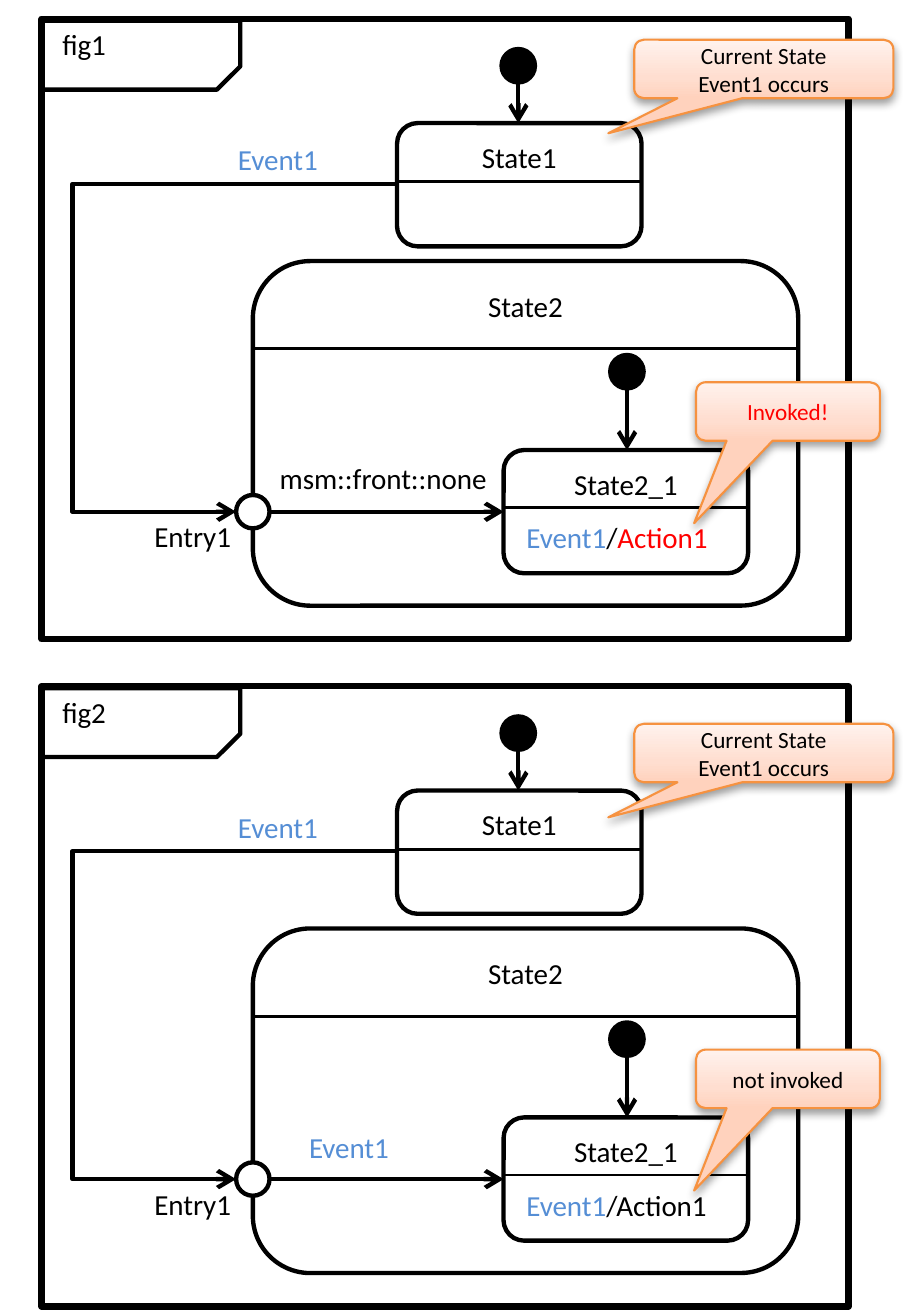
"""Draw two state machine figures that differ in how Entry1 is left."""
import copy
import dataclasses

import lxml.etree
import pptx
import pptx.dml.color
import pptx.enum.shapes
import pptx.enum.text
import pptx.oxml.ns
import pptx.shapes.autoshape
import pptx.shapes.connector
import pptx.slide
import pptx.text.text
import pptx.util

RGB = pptx.dml.color.RGBColor
KIND = pptx.enum.shapes.MSO_SHAPE
LINK = pptx.enum.shapes.MSO_CONNECTOR
ALIGN = pptx.enum.text.PP_ALIGN
ANCHOR = pptx.enum.text.MSO_ANCHOR
qn = pptx.oxml.ns.qn

BLACK = RGB(0, 0, 0)
WHITE = RGB(255, 255, 255)
BLUE = RGB(0x55, 0x8E, 0xD5)
RED = RGB(255, 0, 0)
EDGE = RGB(0xF6, 0x92, 0x40)
BLEND = ((0, RGB(0xFF, 0xD2, 0xBD)), (0.35, RGB(0xFF, 0xDE, 0xD0)), (1, RGB(0xFF, 0xF2, 0xED)))

WIDE, HIGH = pptx.util.Cm(11), pptx.util.Cm(16)
COLS, ROWS = 433, 630
PITCH = 319.5
DOT = 16


@dataclasses.dataclass(frozen=True)
class Span:
    text: str
    color: RGB = BLACK


@dataclasses.dataclass(frozen=True)
class Box:
    col: float
    row: float
    wide: float
    high: float


@dataclasses.dataclass(frozen=True)
class State:
    name: str
    box: Box
    split: float


@dataclasses.dataclass(frozen=True)
class Label:
    box: Box
    spans: tuple[Span, ...]


@dataclasses.dataclass(frozen=True)
class Arrow:
    start: tuple[float, float]
    end: tuple[float, float]


@dataclasses.dataclass(frozen=True)
class Note:
    box: Box
    tip: tuple[float, float]
    span: Span


@dataclasses.dataclass(frozen=True)
class Figure:
    name: str
    top: float
    guard: Label
    action: tuple[Span, ...]
    result: Span
    event: float


STATES = (
    State("State1", Box(190, 59, 117, 59), 87),
    State("State2", Box(121, 125, 261, 165), 167),
    State("State2_1", Box(241, 215.5, 117, 59), 243),
)
DOTS = ((240, 23.5, BLACK), (113, 237, WHITE), (292, 170, BLACK))
ARROWS = (
    Arrow((248, 39), (248, 59)),
    Arrow((300, 186), (300, 215.5)),
    Arrow((129, 245), (241, 245)),
)
EVENT = Span("Event1", BLUE)
FIGURES = (
    Figure("fig1", 0, Label(Box(124, 215.5, 132, 27), (Span("msm::front::none"),)),
           (EVENT, Span("/"), Span("Action1", RED)), Span("Invoked!", RED), 19),
    Figure("fig2", PITCH, Label(Box(138, 216.5, 95, 27), (EVENT,)),
           (EVENT, Span("/Action1")), Span("not invoked"), 27),
)


def across(col: float) -> int:
    """Turn columns into a length."""
    return round(WIDE * col / COLS)


def down(row: float) -> int:
    """Turn rows into a length."""
    return round(HIGH * row / ROWS)


def place(box: Box, top: float) -> tuple[int, int, int, int]:
    """Give the place of a box in the figure that starts at top."""
    return across(box.col), down(top + box.row), across(box.wide), down(box.high)


def write(frame: pptx.text.text.TextFrame, spans: tuple[Span, ...], size: float, align: ALIGN) -> None:
    """Fill a frame with coloured spans."""
    frame.word_wrap = True
    frame.text = spans[0].text
    for span in spans[1:]:
        frame.paragraphs[-1].add_run().text = span.text
    for para in frame.paragraphs:
        para.alignment = align
        for run, span in zip(para.runs, spans):
            run.font.name = "Calibri"
            run.font.size = pptx.util.Pt(size)
            run.font.color.rgb = span.color


def shape(page: pptx.slide.Slide, kind: KIND, box: Box, top: float, width: float = 1.5,
          fill: RGB | None = None, edge: RGB = BLACK) -> pptx.shapes.autoshape.Shape:
    """Add a flat outlined shape."""
    item = page.shapes.add_shape(kind, *place(box, top))
    item.shadow.inherit = False
    item.line.color.rgb = edge
    item.line.width = pptx.util.Pt(width)
    if fill is None:
        item.fill.background()
    else:
        item.fill.solid()
        item.fill.fore_color.rgb = fill
    return item


def join(page: pptx.slide.Slide, way: Arrow, top: float, width: float = 1.5, head: bool = True,
         kind: LINK = LINK.STRAIGHT) -> pptx.shapes.connector.Connector:
    """Add a line, with an arrowhead if asked."""
    (left, high), (right, low) = way.start, way.end
    item = page.shapes.add_connector(kind, across(left), down(top + high), across(right), down(top + low))
    item.line.color.rgb = BLACK
    item.line.width = pptx.util.Pt(width)
    props = item._element.spPr
    if head:
        lxml.etree.SubElement(props.find(qn("a:ln")), qn("a:tailEnd"), type="arrow")
    lxml.etree.SubElement(props, qn("a:effectLst"))
    return item


def label(page: pptx.slide.Slide, tag: Label, top: float) -> None:
    """Add a text box."""
    item = page.shapes.add_textbox(*place(tag.box, top))
    write(item.text_frame, tag.spans, 10, ALIGN.LEFT)


def note(page: pptx.slide.Slide, memo: Note, top: float) -> None:
    """Add a callout with a blended fill and a soft shadow."""
    item = shape(page, KIND.ROUNDED_RECTANGULAR_CALLOUT, memo.box, top, 0.75, edge=EDGE)
    item.adjustments[0], item.adjustments[1] = memo.tip
    item.fill.gradient()
    item.fill.gradient_angle = 90
    props = item._element.spPr
    stops = props.find(".//" + qn("a:gsLst"))
    stops.insert(1, copy.deepcopy(stops[0]))
    for stop, (spot, color) in zip(item.fill.gradient_stops, BLEND):
        stop.position = spot
        stop.color.rgb = color
    shade = lxml.etree.SubElement(
        props.find(qn("a:effectLst")), qn("a:outerShdw"), blurRad=str(pptx.util.Pt(3.1)),
        dist=str(pptx.util.Pt(1.6)), dir="5400000", rotWithShape="0")
    tone = lxml.etree.SubElement(shade, qn("a:srgbClr"), val=str(BLACK))
    lxml.etree.SubElement(tone, qn("a:alpha"), val="38000")
    item.text_frame.vertical_anchor = ANCHOR.MIDDLE
    write(item.text_frame, (memo.span,), 8, ALIGN.CENTER)


def state(page: pptx.slide.Slide, node: State, top: float) -> None:
    """Add a state with its name above a dividing line."""
    item = shape(page, KIND.ROUNDED_RECTANGLE, node.box, top)
    item.text_frame.vertical_anchor = ANCHOR.TOP
    write(item.text_frame, (Span(node.name),), 10, ALIGN.CENTER)
    left, right = node.box.col, node.box.col + node.box.wide
    join(page, Arrow((left, node.split), (right, node.split)), top, 1, False)


def draw(page: pptx.slide.Slide, fig: Figure) -> None:
    """Draw one figure."""
    top = fig.top
    shape(page, KIND.RECTANGLE, Box(20, 9, 386, 297), top, 2.25)
    tab = shape(page, KIND.SNIP_1_RECTANGLE, Box(20, 10, 95, 33), top)
    tab.adjustments[0] = 0.34
    tab._element.spPr.xfrm.set("flipV", "1")
    for node in STATES:
        state(page, node, top)
    bend = join(page, Arrow((190, 88), (113, 245)), top, kind=LINK.ELBOW)
    guides = bend._element.spPr.find(qn("a:prstGeom")).get_or_add_avLst()
    lxml.etree.SubElement(guides, qn("a:gd"), name="adj1", fmla="val 201600")
    for way in ARROWS:
        join(page, way, top)
    for col, row, fill in DOTS:
        shape(page, KIND.FLOWCHART_CONNECTOR, Box(col, row, DOT, DOT), top, fill=fill)
    for tag in (Label(Box(20, 8, 113, 27), (Span(fig.name),)),
                Label(Box(104, 63, 95, 27), (EVENT,)),
                Label(Box(64, 243.5, 68, 27), (Span("Entry1"),)),
                Label(Box(242, 244, 116, 27), fig.action), fig.guard):
        label(page, tag, top)
    note(page, Note(Box(333, 183, 88, 28), (-0.51, 1.91), fig.result), top)
    note(page, Note(Box(303.5, fig.event, 124, 28), (-0.6, 1.1), Span("Current State\nEvent1 occurs")), top)


deck = pptx.Presentation()
deck.slide_width = WIDE
deck.slide_height = HIGH
page = deck.slides.add_slide(deck.slide_layouts[6])
for fig in FIGURES:
    draw(page, fig)
deck.save("out.pptx")
